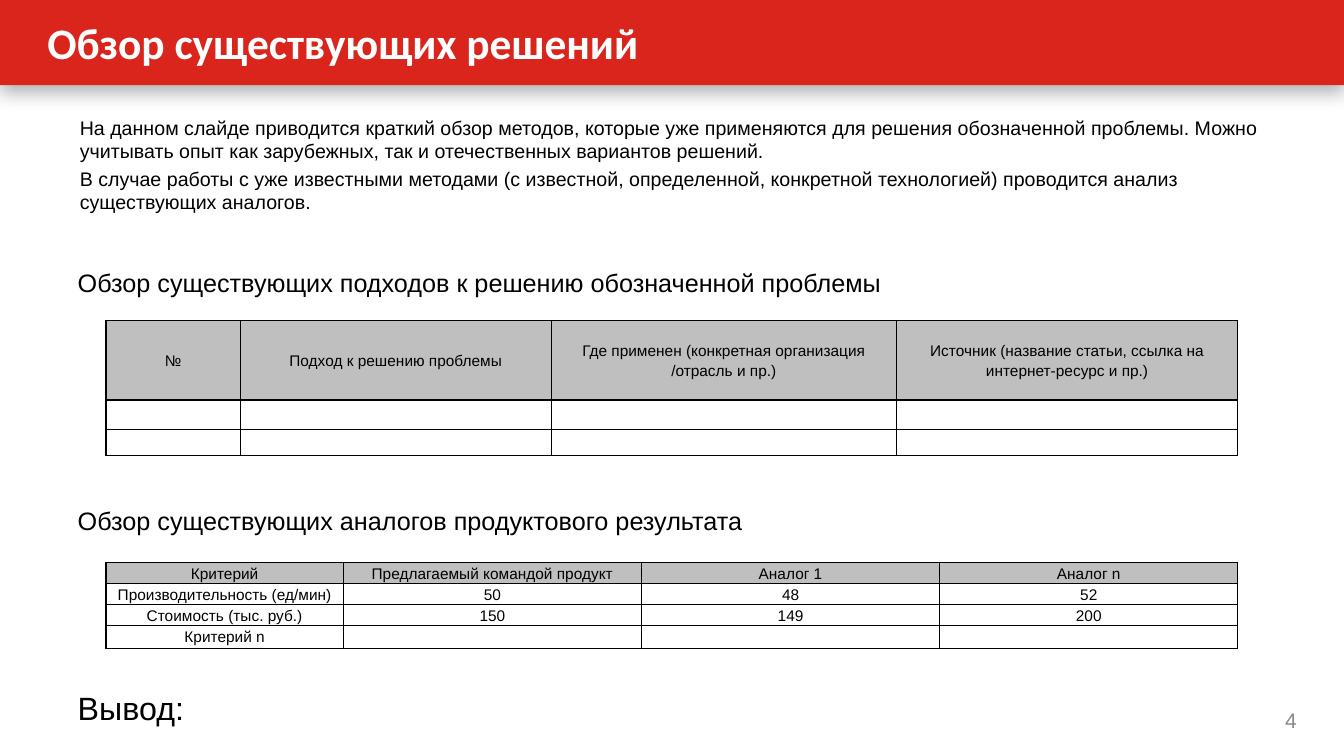
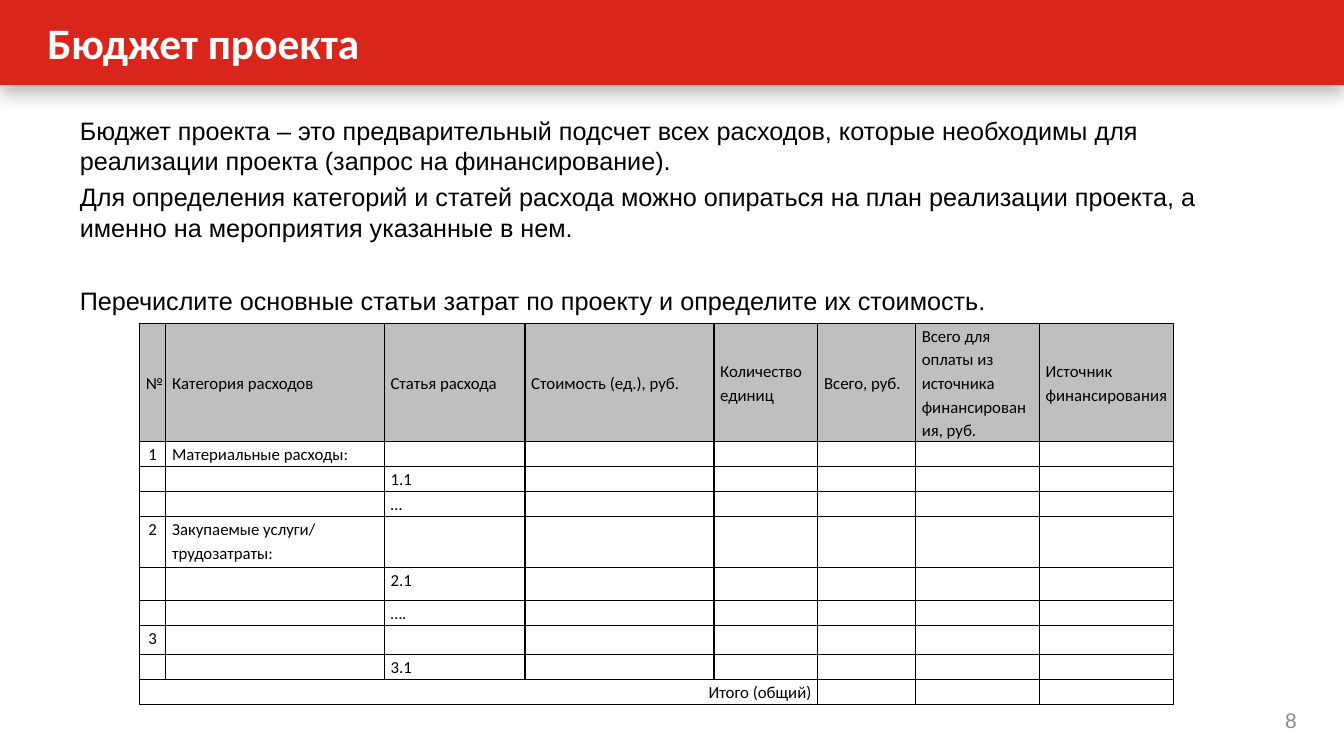
import pptx
import pptx.util
import pptx.dml.color
import pptx.enum.shapes
import pptx.enum.text
import pptx.oxml.ns
from lxml import etree

PX = 9525
WIDE, HIGH = 1280, 720
BAND = 81
RED, WHITE, BLACK = "DA251D", "FFFFFF", "000000"
GREY, PALE = "BFBFBF", "888888"
SANS, HEAD = "Arial", "Calibri"
PAD = (12, 6, 12, 6)
SLIM = (10, 5, 10, 5)
LEFT = pptx.enum.text.PP_ALIGN.LEFT
MID = pptx.enum.text.PP_ALIGN.CENTER
RIGHT = pptx.enum.text.PP_ALIGN.RIGHT
TOP = pptx.enum.text.MSO_ANCHOR.TOP
HALF = pptx.enum.text.MSO_ANCHOR.MIDDLE


def px(*nums):
    return [pptx.util.Emu(num * PX) for num in nums]


def rgb(code):
    return pptx.dml.color.RGBColor.from_string(code)


def node(parent, tag, **attrs):
    return etree.SubElement(parent, pptx.oxml.ns.qn(tag), **attrs)


def write(frame, text, size=18, font=SANS, color=BLACK, bold=False,
          align=LEFT, line=1.0, gaps=()):
    for i, part in enumerate(text.split("\n")):
        para = frame.paragraphs[0] if i == 0 else frame.add_paragraph()
        para.alignment = align
        para.line_spacing = line
        para.space_before = pptx.util.Pt(gaps[i - 1] if i else 0)
        if not part:
            node(para._p, "a:endParaRPr", sz=str(size * 100))
            continue
        run = para.add_run()
        run.text = part
        run.font.size = pptx.util.Pt(size)
        run.font.name = font
        run.font.bold = bold
        run.font.color.rgb = rgb(color)


def pad(item, sides):
    (item.margin_left, item.margin_top,
     item.margin_right, item.margin_bottom) = px(*sides)


def setup(frame, sides, anchor):
    frame.word_wrap = True
    frame.auto_size = pptx.enum.text.MSO_AUTO_SIZE.NONE
    frame.vertical_anchor = anchor
    pad(frame, sides)


def label(slide, box, text, sides=SLIM, anchor=TOP, **form):
    frame = slide.shapes.add_textbox(*px(*box)).text_frame
    setup(frame, sides, anchor)
    write(frame, text, **form)


def banner(slide):
    band = slide.shapes.add_shape(
        pptx.enum.shapes.MSO_SHAPE.RECTANGLE, *px(0, 0, WIDE, BAND))
    band.fill.solid()
    band.fill.fore_color.rgb = rgb(RED)
    band.line.fill.background()
    band.shadow.inherit = False
    glow = node(band.element.spPr.find(pptx.oxml.ns.qn("a:effectLst")),
                "a:outerShdw", blurRad="177800", dist="63500",
                dir="5400000", algn="t", rotWithShape="0")
    node(node(glow, "a:srgbClr", val=BLACK), "a:alpha", val="31000")
    band.element.nvSpPr.cNvPr.set("id", "20")
    slide.slide_layout.element.cSld.spTree.insert(2, band.element)


def page(deck, title, num, tint=PALE):
    slide = deck.slides.add_slide(deck.slide_layouts[5])
    name = slide.shapes.title
    name.left, name.top, name.width, name.height = px(33, 0, 1167, BAND)
    setup(name.text_frame, PAD, HALF)
    write(name.text_frame, title, size=31, font=HEAD, color=WHITE, bold=True)
    label(slide, (1167, 667, 80, 38), num, PAD, HALF,
          size=15, color=tint, align=RIGHT)
    return slide


def edge(cell):
    props = cell._tc.get_or_add_tcPr()
    for side in ("L", "R", "T", "B"):
        line = node(props, "a:ln" + side, w="12700")
        node(node(line, "a:solidFill"), "a:srgbClr", val=BLACK)


def grid(slide, at, cols, rows, data, aligns, top, side=7, **form):
    box = px(*at, sum(cols), sum(rows))
    table = slide.shapes.add_table(len(rows), len(cols), *box).table
    table.first_row = table.horz_banding = False
    for col, size in zip(table.columns, px(*cols)):
        col.width = size
    for row, size in zip(table.rows, px(*rows)):
        row.height = size
    for r in range(len(rows)):
        for c in range(len(cols)):
            cell = table.cell(r, c)
            edge(cell)
            pad(cell, (side, 0, side, 0))
            cell.fill.solid()
            cell.fill.fore_color.rgb = rgb(WHITE if r else GREY)
            cell.vertical_anchor = TOP if r else HALF
            text = data[r][c] if r < len(data) and c < len(data[r]) else ""
            write(cell.text_frame, text, line=1.15,
                  align=aligns[c] if r else top, **form)
    return table


def review(deck):
    slide = page(deck, "Обзор существующих решений", "4")
    banner(slide)
    label(slide, (64, 104, 1152, 114),
          "На данном слайде приводится краткий обзор методов, которые уже "
          "применяются для решения обозначенной проблемы. Можно учитывать "
          "опыт как зарубежных, так и отечественных вариантов решений.\n"
          "В случае работы с уже известными методами (с известной, "
          "определенной, конкретной технологией) проводится анализ "
          "существующих аналогов.", PAD, size=14, gaps=[2.8])
    label(slide, (64, 250, 1067, 38),
          "Обзор существующих подходов к решению обозначенной проблемы")
    grid(slide, (101, 305), (128, 296, 329, 325), (76, 28, 25),
         [("№", "Подход к решению проблемы",
           "Где применен (конкретная организация /отрасль и пр.)",
           "Источник (название статьи, ссылка на интернет-ресурс и пр.)")],
         [MID] * 4, MID, size=11)
    label(slide, (64, 476, 1085, 38),
          "Обзор существующих аналогов продуктового результата")
    grid(slide, (101, 536), (226, 284, 284, 284), (20, 20, 20, 22),
         [("Критерий", "Предлагаемый командой продукт",
           "Аналог 1", "Аналог n"),
          ("Производительность (ед/мин)", "50", "48", "52"),
          ("Стоимость (тыс. руб.)", "150", "149", "200"),
          ("Критерий n",)],
         [MID] * 4, MID, size=11)
    label(slide, (64, 646, 638, 42), "Вывод:", (10, 10, 10, 10), size=23)


def budget(deck):
    slide = page(deck, "Бюджет проекта", "8", "8C8C8C")
    label(slide, (64, 104, 1152, 237),
          "Бюджет проекта – это предварительный подсчет всех расходов, "
          "которые необходимы для реализации проекта (запрос на "
          "финансирование).\n"
          "Для определения категорий и статей расхода можно опираться на "
          "план реализации проекта, а именно на мероприятия указанные в "
          "нем.\n"
          "Перечислите основные статьи затрат по проекту и определите их "
          "стоимость.", PAD, gaps=[4, 31])
    table = grid(
        slide, (133, 308), (25, 208, 134, 180, 99, 93, 118, 128),
        (112, 24, 24, 24, 48, 32, 24, 27, 24, 24),
        [("№", "Категория расходов", "Статья расхода",
          "Стоимость (ед.), руб.", "Количество единиц", "Всего, руб.",
          "Всего для оплаты из источника финансирования, руб.",
          "Источник финансирования"),
         ("1", "Материальные расходы:"),
         ("", "", "1.1"),
         ("", "", "…"),
         ("2", "Закупаемые услуги/ трудозатраты:"),
         ("", "", "2.1"),
         ("", "", "…."),
         ("3",),
         ("", "", "3.1")],
        [MID] + [LEFT] * 7, LEFT, side=6, size=12, font=HEAD)
    total = table.cell(9, 0)
    total.merge(table.cell(9, 4))
    total.text_frame.clear()
    write(total.text_frame, "Итого (общий)", size=12, font=HEAD,
          align=RIGHT, line=1.15)


def main():
    deck = pptx.Presentation()
    deck.slide_width, deck.slide_height = px(WIDE, HIGH)
    review(deck)
    budget(deck)
    deck.save("out.pptx")


if __name__ == "__main__":
    main()
